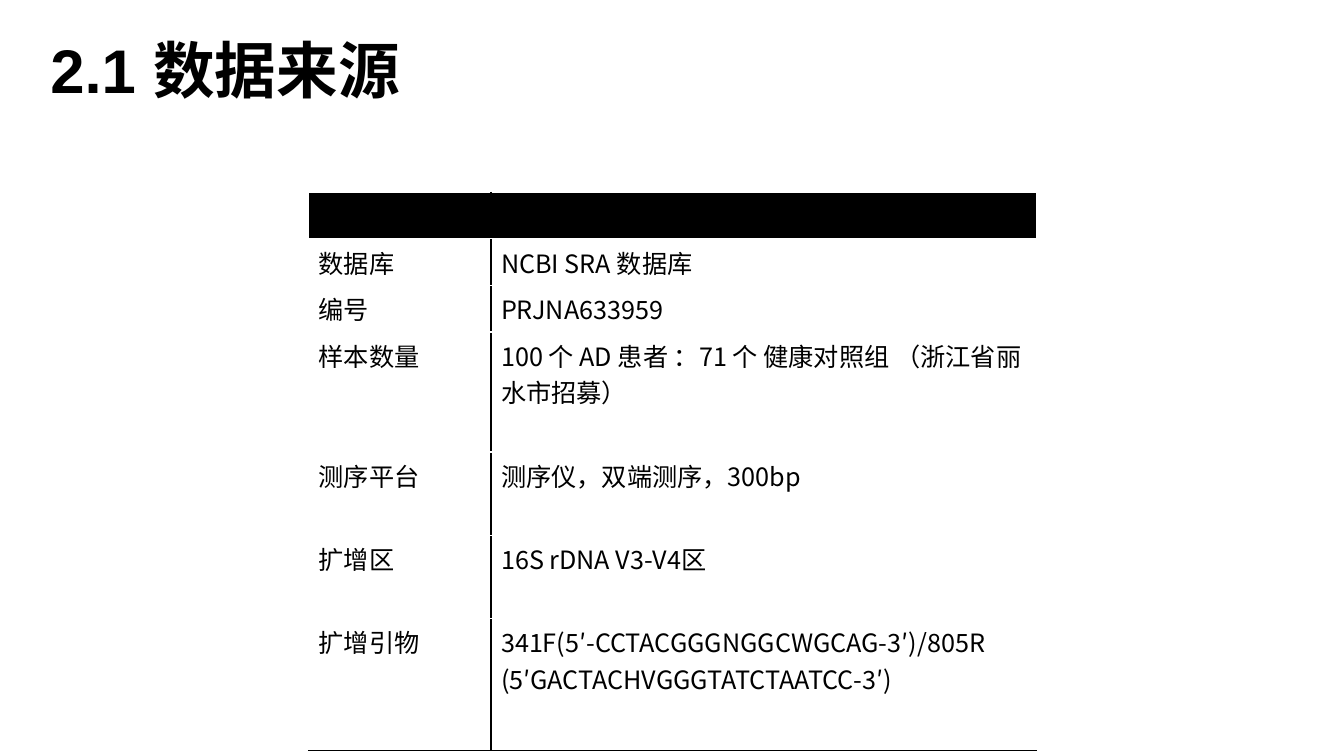
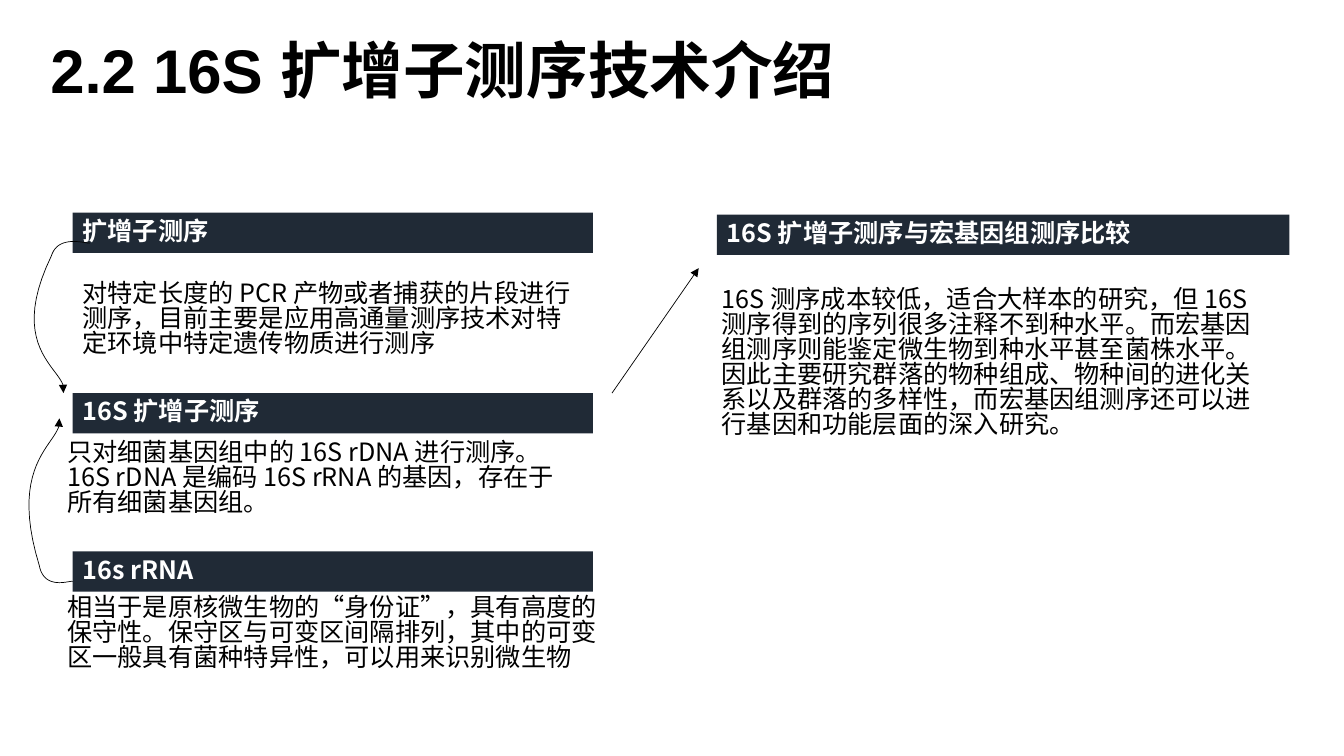
"""Build two slides on the data source and on 16S amplicon sequencing."""
from lxml import etree
from pptx import Presentation
from pptx import util as u
from pptx.dml.color import RGBColor
from pptx.enum import shapes, text
from pptx.oxml.ns import qn

BLACK = RGBColor(0x00, 0x00, 0x00)
WHITE = RGBColor(0xFF, 0xFF, 0xFF)
NAVY = RGBColor(0x20, 0x2A, 0x36)
CJK_FONT = "Noto Sans CJK SC"
TITLE_FONT = "Arial"
TIGHT = 0.83
BAR_HEIGHT = 0.4
CURVE_STEPS = 24

SOURCE_ROWS = [
    ("", "", 0.46),
    ("数据库", "NCBI SRA 数据库", 0.46),
    ("编号", "PRJNA633959", 0.46),
    ("样本数量", "100 个 AD 患者 ：71 个 健康对照组 （浙江省丽水市招募）", 1.19),
    ("测序平台", "测序仪，双端测序，300bp", 0.83),
    ("扩增区", "16S rDNA V3-V4区", 0.82),
    ("扩增引物", "341F(5′-CCTACGGGNGGCWGCAG-3′)/805R (5′GACTACHVGGGTATCTAATCC-3′)", 1.31),
]

BARS = [
    ("扩增子测序", 0.72, 2.11, 5.16),
    ("16S 扩增子测序", 0.72, 3.9, 5.16),
    ("16s rRNA", 0.72, 5.47, 5.16),
    ("16S 扩增子测序与宏基因组测序比较", 7.11, 2.13, 5.68),
]

NOTES = [
    ("对特定长度的 PCR 产物或者捕获的片段进行测序，目前主要是应用高通量测序技术对特定环境中特定遗传物质进行测序",
     0.72, 2.75, 5.16, 1.01),
    ("只对细菌基因组中的 16S rDNA 进行测序。16S rDNA 是编码 16S rRNA 的基因，存在于所有细菌基因组。",
     0.57, 4.33, 5.16, 1.01),
    ("相当于是原核微生物的“身份证”，具有高度的保守性。保守区与可变区间隔排列，其中的可变区一般具有菌种特异性，可以用来识别微生物",
     0.57, 5.87, 5.5, 1.01),
    ("16S 测序成本较低，适合大样本的研究，但 16S 测序得到的序列很多注释不到种水平。而宏基因组测序则能鉴定微生物到种水平甚至菌株水平。"
     "因此主要研究群落的物种组成、物种间的进化关系以及群落的多样性，而宏基因组测序还可以进行基因和功能层面的深入研究。",
     7.06, 2.81, 5.68, 1.92),
]

CURVES = [
    [(0.89, 2.41), (0.89, 2.43), (0.58, 2.31), (0.51, 2.54),
     (0.04, 3.51), (0.7, 3.68), (0.63, 3.9)],
    [(0.72, 5.77), (0.71, 5.75), (0.44, 5.87), (0.39, 5.61),
     (0.06, 4.53), (0.64, 4.39), (0.59, 4.15)],
]


def write(tf, words, size=18, font=CJK_FONT, color=BLACK, bold=False, spacing=None):
    """Write one left-aligned paragraph in the given format."""
    tf.word_wrap = True
    p = tf.paragraphs[0]
    p.alignment = text.PP_ALIGN.LEFT
    if spacing:
        p.line_spacing = spacing
    r = p.add_run()
    r.text = words
    r.font.name = font
    r.font.size = u.Pt(size)
    r.font.bold = bold
    r.font.color.rgb = color
    latin = r.font._element.find(qn("a:latin"))
    east_asian = etree.Element(qn("a:ea"), typeface=CJK_FONT)
    latin.addnext(east_asian)


def add_slide(prs, title):
    """Add a slide with its title at the top left."""
    s = prs.slides.add_slide(prs.slide_layouts[5])
    sp = s.shapes.title
    sp.left, sp.top = u.Inches(0.4), u.Inches(0)
    sp.width, sp.height = u.Inches(11.5), u.Inches(1.45)
    tf = sp.text_frame
    tf.auto_size = text.MSO_AUTO_SIZE.NONE
    tf.vertical_anchor = text.MSO_ANCHOR.MIDDLE
    write(tf, title, size=44, font=TITLE_FONT, bold=True, spacing=0.9)
    return s


def add_border(cell, side):
    """Draw a thin black border on one side of a cell."""
    line = etree.SubElement(cell._tc.get_or_add_tcPr(), qn(f"a:{side}"), w=str(u.Pt(1)))
    fill = etree.SubElement(line, qn("a:solidFill"))
    etree.SubElement(fill, qn("a:srgbClr"), val=str(BLACK))


def add_source_table(s):
    """Add the two-column table that describes the data."""
    height = sum(row[-1] for row in SOURCE_ROWS)
    table = s.shapes.add_table(len(SOURCE_ROWS), 2, u.Inches(3.06), u.Inches(1.91),
                               u.Inches(7.22), u.Inches(height)).table
    table.first_row = table.horz_banding = False
    for column, width in zip(table.columns, (1.81, 5.41)):
        column.width = u.Inches(width)
    for i, (*words, row_height) in enumerate(SOURCE_ROWS):
        table.rows[i].height = u.Inches(row_height)
        for j, content in enumerate(words):
            cell = table.cell(i, j)
            for side in (("lnR", "lnB"), ("lnL", "lnB"))[j]:
                add_border(cell, side)
            cell.fill.solid()
            cell.fill.fore_color.rgb = WHITE if i else BLACK
            if content:
                write(cell.text_frame, content)


def add_bar(s, words, left, top, width):
    """Add a dark heading bar."""
    sp = s.shapes.add_shape(shapes.MSO_SHAPE.RECTANGLE, u.Inches(left), u.Inches(top),
                            u.Inches(width), u.Inches(BAR_HEIGHT))
    sp.shadow.inherit = False
    sp.fill.solid()
    sp.fill.fore_color.rgb = NAVY
    sp.line.fill.background()
    write(sp.text_frame, words, color=WHITE, bold=True, spacing=TIGHT)


def add_note(s, words, left, top, width, height):
    """Add a box of explanatory text."""
    sp = s.shapes.add_textbox(u.Inches(left), u.Inches(top), u.Inches(width), u.Inches(height))
    write(sp.text_frame, words, spacing=TIGHT)


def style_arrow(sp):
    """Give a line a thin black stroke and an arrowhead at its end."""
    sp.line.color.rgb = BLACK
    sp.line.width = u.Pt(0.5)
    etree.SubElement(sp.line._get_or_add_ln(), qn("a:tailEnd"), type="triangle")


def add_arrow(s, start, end):
    """Add a straight arrow."""
    ends = [u.Inches(value) for value in (*start, *end)]
    sp = s.shapes.add_connector(shapes.MSO_CONNECTOR.STRAIGHT, *ends)
    style_arrow(sp)
    etree.SubElement(sp._element.spPr, qn("a:effectLst"))


def bezier(points, t):
    """Return the point at t on a cubic curve, in EMU."""
    weights = ((1 - t) ** 3, 3 * t * (1 - t) ** 2, 3 * t ** 2 * (1 - t), t ** 3)
    return tuple(u.Inches(sum(w * value for w, value in zip(weights, axis)))
                 for axis in zip(*points))


def add_curved_arrow(s, points):
    """Add an open arrow along a chain of cubic curves."""
    track = [bezier(points[i:i + 4], step / CURVE_STEPS)
             for i in range(0, len(points) - 1, 3)
             for step in range(1, CURVE_STEPS + 1)]
    builder = s.shapes.build_freeform(*bezier(points[:4], 0))
    builder.add_line_segments(track, close=False)
    sp = builder.convert_to_shape()
    sp.shadow.inherit = False
    sp.fill.background()
    style_arrow(sp)


def main():
    """Build and save the presentation."""
    prs = Presentation()
    prs.slide_width, prs.slide_height = u.Inches(13.33), u.Inches(7.5)

    add_source_table(add_slide(prs, "2.1 数据来源"))

    s = add_slide(prs, "2.2 16S 扩增子测序技术介绍")
    for bar in BARS:
        add_bar(s, *bar)
    for note in NOTES:
        add_note(s, *note)
    add_arrow(s, (6.07, 3.9), (6.93, 2.66))
    for points in CURVES:
        add_curved_arrow(s, points)

    prs.save("out.pptx")


if __name__ == "__main__":
    main()
